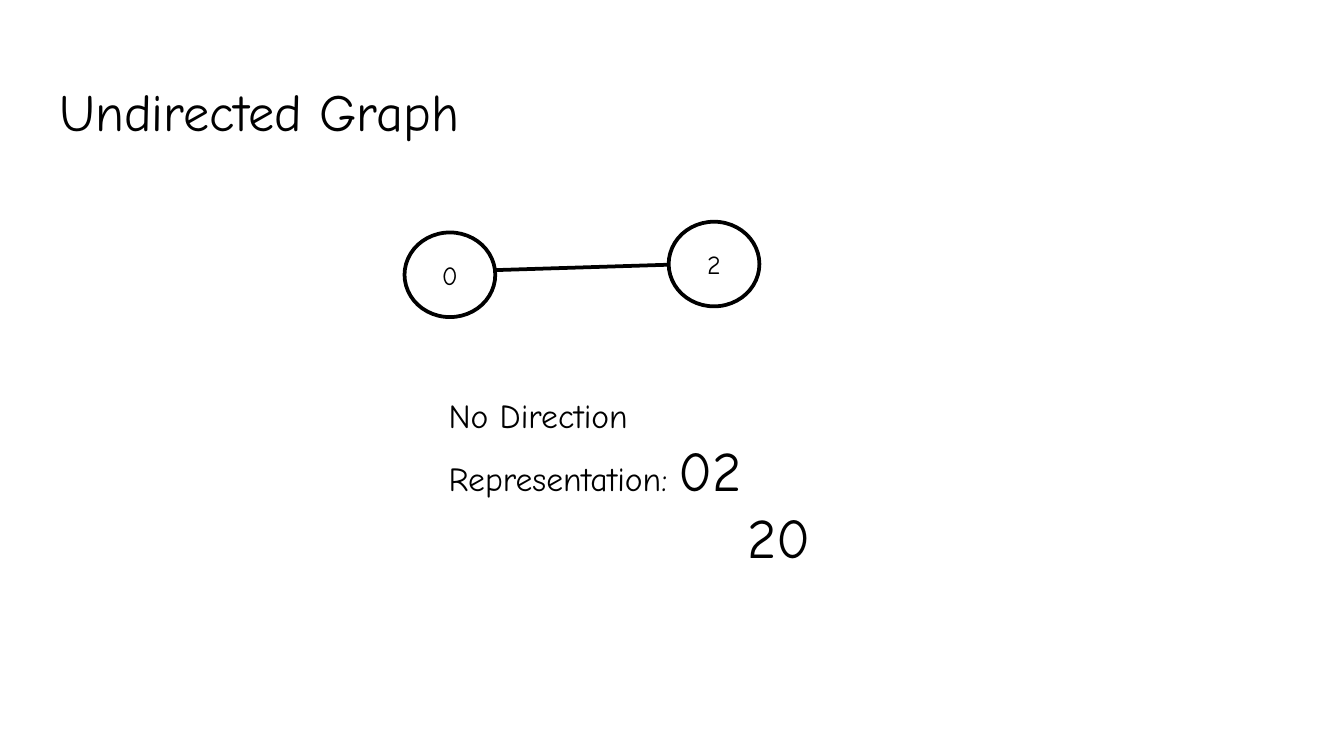
from pptx import Presentation
from pptx.dml.color import RGBColor
from pptx.enum.shapes import MSO_CONNECTOR, MSO_SHAPE
from pptx.enum.text import MSO_ANCHOR as ANCHOR, MSO_AUTO_SIZE, PP_ALIGN as ALIGN
from pptx.oxml.ns import qn
from pptx.util import Emu, Pt
from lxml.etree import SubElement

TITLE_ONLY = 5


def px(n):
    """Turn px, 200 to the inch, into EMU."""
    return Emu(n * 4572)


def color(hex_string):
    return RGBColor.from_string(hex_string)


class GraphSlide:
    """Holds the style and the current slide."""
    font, ink, paper, stroke, inset = "Comic Neue", "000000", "FFFFFF", 2, 20

    def __init__(self, prs):
        self.s = prs.slides.add_slide(prs.slide_layouts[TITLE_ONLY])
        fill = self.s.background.fill
        fill.solid()
        fill.fore_color.rgb = color(self.paper)

    def style(self, font, size):
        font.name, font.size = self.font, Pt(size)
        font.color.rgb = color(self.ink)

    def frame(self, sp, anchor=ANCHOR.TOP):
        tf = sp.text_frame
        tf.word_wrap = True
        tf.auto_size = MSO_AUTO_SIZE.NONE
        tf.vertical_anchor = anchor
        tf.margin_left = tf.margin_right = px(self.inset)
        tf.margin_top = tf.margin_bottom = px(self.inset)
        return tf

    def outline(self, sp):
        sp.line.color.rgb = color(self.ink)
        sp.line.width = Pt(self.stroke)

    def title(self, text, x, y, w, h, size):
        sp = self.s.shapes.title
        sp.left, sp.top, sp.width, sp.height = map(px, (x, y, w, h))
        p = self.frame(sp).paragraphs[0]
        p.text, p.alignment = text, ALIGN.LEFT
        self.style(p.font, size)

    def text(self, paragraphs, x, y, w, h):
        """Each paragraph is an indent and a list of (text, size) runs."""
        tf = self.frame(self.s.shapes.add_textbox(*map(px, (x, y, w, h))))
        for i, (indent, runs) in enumerate(paragraphs):
            p = tf.add_paragraph() if i else tf.paragraphs[0]
            if indent:
                p._p.get_or_add_pPr().set("marL", str(px(indent)))
            for text, size in runs:
                r = p.add_run()
                r.text = text
                self.style(r.font, size)

    def node(self, label, x, y, w=135, h=126, size=14):
        sp = self.s.shapes.add_shape(MSO_SHAPE.FLOWCHART_CONNECTOR, *map(px, (x, y, w, h)))
        sp.shadow.inherit = False
        sp.fill.solid()
        sp.fill.fore_color.rgb = color(self.paper)
        self.outline(sp)
        p = self.frame(sp, ANCHOR.MIDDLE).paragraphs[0]
        p.text, p.alignment = label, ALIGN.CENTER
        self.style(p.font, size)

    def edge(self, x1, y1, x2, y2):
        line = self.s.shapes.add_connector(MSO_CONNECTOR.STRAIGHT, *map(px, (x1, y1, x2, y2)))
        self.outline(line)
        SubElement(line._element.spPr, qn("a:effectLst"))


def main():
    prs = Presentation()
    prs.slide_width, prs.slide_height = px(2000), px(1125)
    slide = GraphSlide(prs)
    slide.title("Undirected Graph", 68, 98, 1864, 126, 28)
    slide.text([
        (0, [("No Direction", 18)]),
        (0, [("Representation: ", 18), ("02", 30)]),
        (444, [("20", 30)]),
    ], 648, 568, 666, 326)
    slide.node("0", 602, 346)
    slide.node("2", 995, 330)
    slide.edge(737, 402, 995, 394)
    prs.save("out.pptx")


if __name__ == "__main__":
    main()
